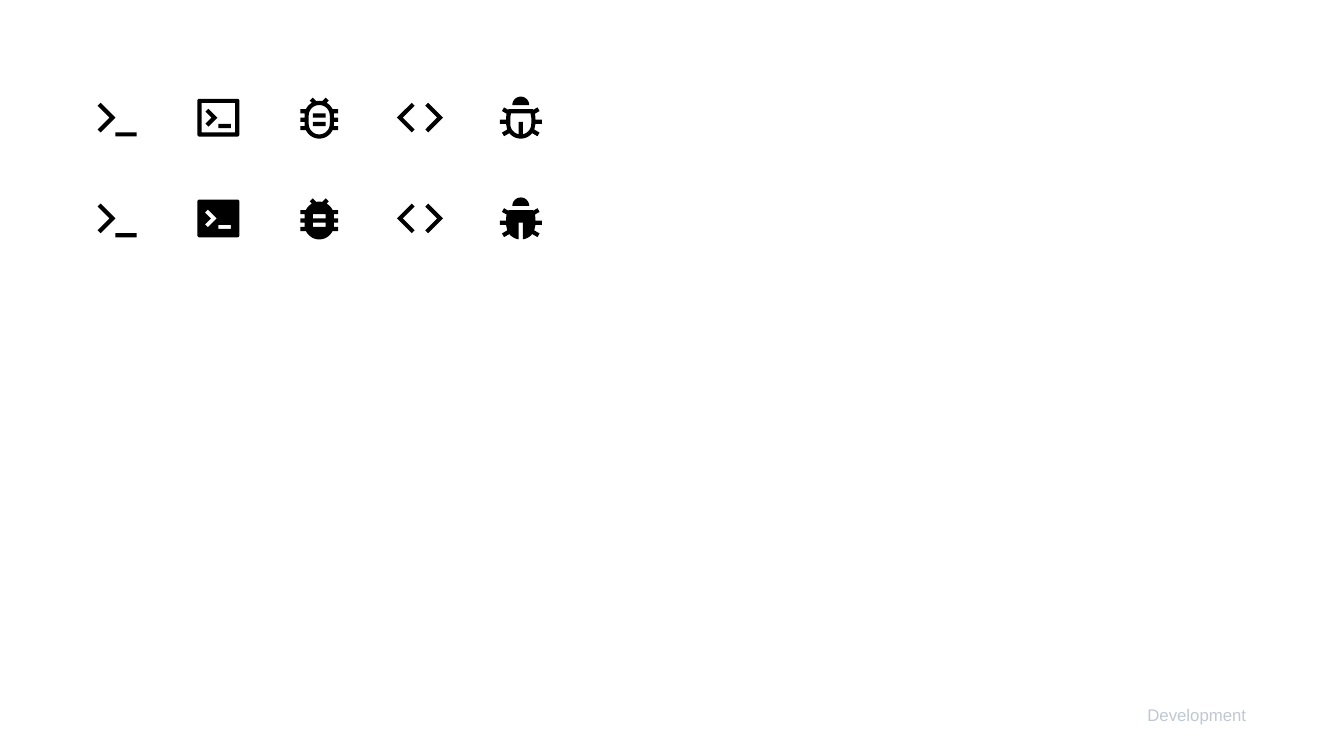
import math
from dataclasses import dataclass

from pptx import Presentation
from pptx import util as u
from pptx.dml.color import RGBColor
from pptx.enum import text


@dataclass(frozen=True)
class Theme:
    icon: RGBColor = RGBColor.from_string("000000")
    label: RGBColor = RGBColor.from_string("C0C8D1")
    font: str = "Arial"
    label_size: int = 12


class IconSheet:
    GRID = 24
    PRECISION = 100

    def __init__(self, prs, theme):
        self.theme = theme
        self.s = prs.slides.add_slide(prs.slide_layouts[6])

    def icon(self, outlines, left, top, size):
        p = self.PRECISION
        paths = [[(x * p, y * p) for x, y in outline] for outline in outlines]
        fb = self.s.shapes.build_freeform(*paths[0][0], scale=u.Cm(size) / (self.GRID * p))
        fb.add_line_segments(paths[0][1:], close=True)
        for path in paths[1:]:
            fb.move_to(*path[0])
            fb.add_line_segments(path[1:], close=True)
        sp = fb.convert_to_shape(u.Cm(left), u.Cm(top))
        sp.shadow.inherit = False
        sp.fill.solid()
        sp.fill.fore_color.rgb = self.theme.icon
        sp.line.fill.background()

    def label(self, words, left, top, width, height):
        sp = self.s.shapes.add_textbox(u.Cm(left), u.Cm(top), u.Cm(width), u.Cm(height))
        tf = sp.text_frame
        tf.margin_left = tf.margin_right = tf.margin_top = tf.margin_bottom = u.Cm(0.13)
        tf.word_wrap = False
        tf.auto_size = text.MSO_AUTO_SIZE.SHAPE_TO_FIT_TEXT
        tf.text = words
        p = tf.paragraphs[0]
        p.alignment = text.PP_ALIGN.RIGHT
        r = p.runs[0]
        r.font.name = self.theme.font
        r.font.size = u.Pt(self.theme.label_size)
        r.font.color.rgb = self.theme.label


def arc(cx, cy, radius, start, end, step=5):
    count = max(1, math.ceil((end - start) / step))
    angles = [math.radians(start + (end - start) * i / count) for i in range(count + 1)]
    return [(cx + radius * math.cos(a), cy + radius * math.sin(a)) for a in angles]


def rect(x1, y1, x2, y2):
    return [(x1, y1), (x2, y1), (x2, y2), (x1, y2)]


def rounded(x1, y1, x2, y2, r):
    return (arc(x2 - r, y1 + r, r, -90, 0) + arc(x2 - r, y2 - r, r, 0, 90)
            + arc(x1 + r, y2 - r, r, 90, 180) + arc(x1 + r, y1 + r, r, 180, 270))


def flip(points):
    return [(24 - x, y) for x, y in reversed(points)]


def mirrored(right_half):
    return right_half + flip(right_half)


def chevron(tip, reach, thick=1.41):
    return [(tip, 12), (tip - reach, 12 + reach), (tip - reach - thick, 12 + reach - thick),
            (tip - 2 * thick, 12), (tip - reach - thick, 12 - reach + thick),
            (tip - reach, 12 - reach)]


def terminal_icons():
    prompt = [chevron(11, 7.07), rect(11, 19, 21, 21)]
    return prompt, prompt


def terminal_box_icons():
    frame, cursor = rounded(2, 3, 22, 21, 1), rect(12, 15, 18, 17)
    line = [frame, rect(4, 5, 20, 19), cursor, chevron(11.5, 4.24)]
    return line, [frame, cursor, chevron(11.24, 4.24)]


def bug_icons():
    body = mirrored(
        arc(12, 11, 7, -90, -78) + [(15.12, 2.46), (16.54, 3.88), (15.49, 4.93)]
        + arc(12, 11, 7, -60, -26)
        + [(18.33, 8), (21, 8), (21, 10), (18.93, 10), (19, 11), (19, 12), (21, 12),
           (21, 14), (19, 14), (19, 15), (18.93, 16), (21, 16), (21, 18), (18.33, 18)]
        + arc(12, 15, 7, 26, 90))
    inside = mirrored(arc(12, 11, 5, -90, 0) + arc(12, 15, 5, 0, 90))
    stripes = [rect(9, y, 15, y + 2) for y in (10, 14)]
    return [body, inside, *stripes], [body, *stripes]


def code_icons():
    right = chevron(23, 7.07)
    brackets = [right, flip(right)]
    return brackets, brackets


def beetle_icons():
    side = [(17.75, 8), (17.94, 8.3), (19.96, 7.13), (20.96, 8.87), (18.75, 10.14),
            (19, 12), (19, 13), (22, 13), (22, 15), (19, 15), (18.46, 17.69),
            (20.96, 19.13), (19.96, 20.87), (17.44, 19.41)]
    head = arc(12, 6, 4, 180, 360)
    shell = mirrored(side + arc(12, 15, 7, 39, 90))
    inside = mirrored([(16.66, 10), (17, 12)] + arc(12, 15, 5, 0, 78) + [(13, 14)])
    split = mirrored(side + arc(12, 15, 7, 39, 82) + [(13, 14)])
    return [shell, inside, head], [split, head]


def main():
    prs = Presentation()
    prs.slide_width, prs.slide_height = u.Cm(33.87), u.Cm(19.05)
    sheet = IconSheet(prs, Theme())
    start, pitch, size = 2.33, 2.54, 1.27
    columns = [terminal_icons(), terminal_box_icons(), bug_icons(), code_icons(),
               beetle_icons()]
    for col, variants in enumerate(columns):
        for row, outlines in enumerate(variants):
            sheet.icon(outlines, start + col * pitch, start + row * pitch, size)
    sheet.label("Development", 28.77, 17.63, 2.77, 0.76)
    prs.save("out.pptx")


if __name__ == "__main__":
    main()
